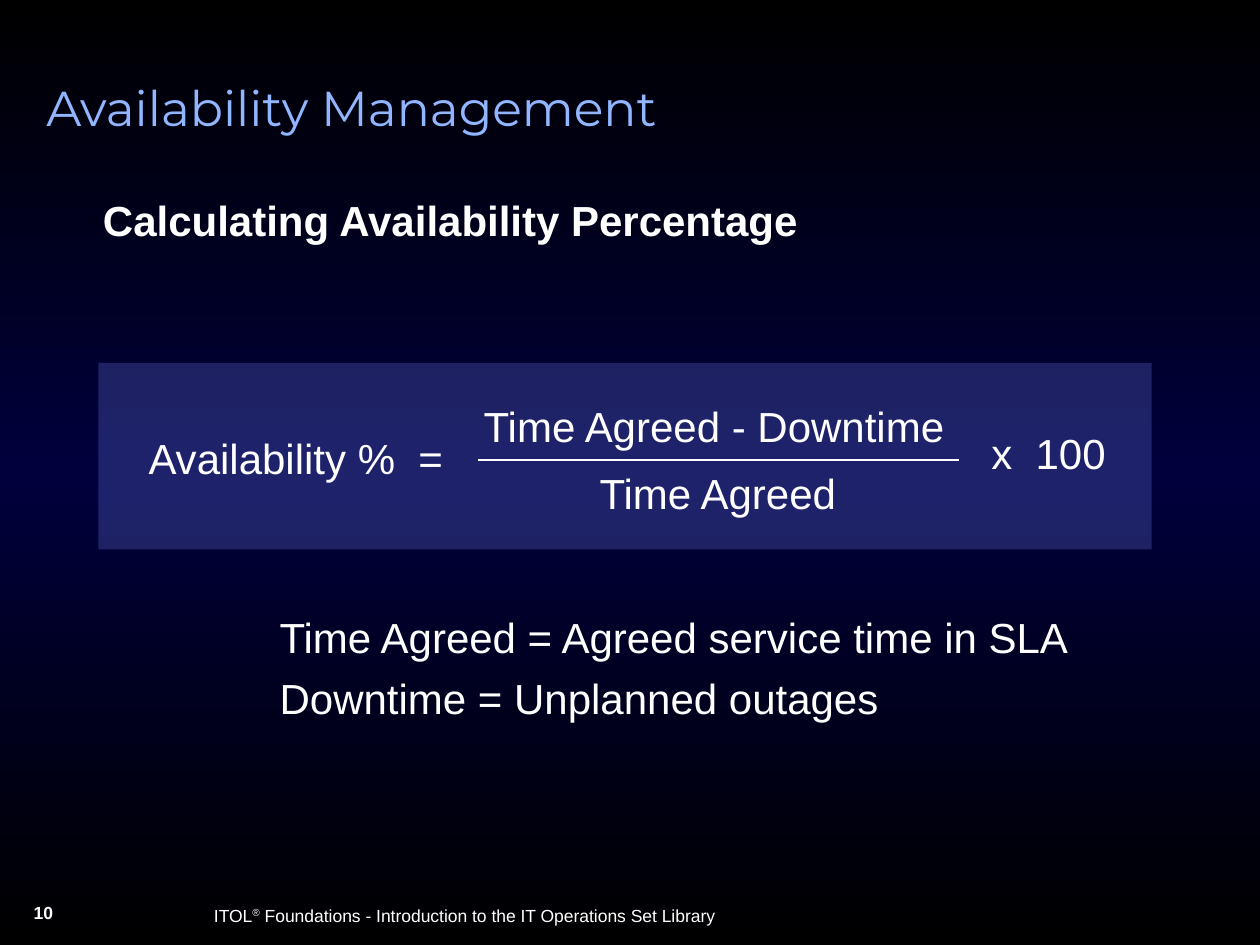
from lxml.etree import SubElement
from pptx import Presentation
from pptx.dml.color import RGBColor
from pptx.enum.shapes import MSO_CONNECTOR, MSO_SHAPE
from pptx.oxml import parse_xml
from pptx.oxml.ns import qn
from pptx.util import Pt

WHITE, TITLE_BLUE, PANEL_BLUE = "FFFFFF", "91B6FF", "7889FB"
BACKGROUND = [(0, "000000"), (50, "00003C"), (100, "000000")]
PANEL = (56.2, 207.4, 601.9, 106.5)
FRACTION_BAR = (272.9, 262.8, 547.9, 262.8)

TITLE = ("Availability Management", (19.4, 44.6, 642.2, 96.5))
SUBTITLE = ("Calculating Availability Percentage", (51.8, 110.9, 578.9, 48.2))
FORMULA = [
    ("Availability %  =", (77.8, 243.4, 182.9, 36)),
    ("Time Agreed - Downtime", (269.3, 225.4, 279.4, 36)),
    ("Time Agreed", (335.5, 263.5, 151.9, 36)),
    ("x  100", (559.4, 240.5, 79.9, 36)),
]
DEFINITIONS = ["Time Agreed = Agreed service time in SLA", "Downtime = Unplanned outages"]
DEFINITIONS_AREA = (53.3, 349.2, 600.5, 93.6)
DEFINITIONS_INDENT = 99.4
FOOTER = ["ITOL", "®", " Foundations - Introduction to the IT Operations Set Library"]
FOOTER_AREA = (115.2, 513.4, 424.8, 19.4)
PAGE_NUMBER = ("10", (12.2, 511.9, 79.2, 25.2))


def color(value):
    return RGBColor.from_string(value)


def paint_background(page):
    fill = page.background.fill
    fill.gradient()
    fill.gradient_angle = 270
    stops = fill._fill._gradFill.find(qn("a:gsLst"))
    for stop in list(stops):
        stops.remove(stop)
    for position, value in BACKGROUND:
        stop = SubElement(stops, qn("a:gs"), pos=str(position * 1000))
        SubElement(stop, qn("a:srgbClr"), val=value)


def add_panel(page):
    panel = page.shapes.add_shape(MSO_SHAPE.RECTANGLE, *map(Pt, PANEL))
    panel.shadow.inherit = False
    panel.line.fill.background()
    panel.fill.solid()
    panel.fill.fore_color.rgb = color(PANEL_BLUE)
    tint = panel.fill._xPr.find(qn("a:solidFill"))[0]
    SubElement(tint, qn("a:alpha"), val="25000")


def add_fraction_bar(page):
    bar = page.shapes.add_connector(MSO_CONNECTOR.STRAIGHT, *map(Pt, FRACTION_BAR))
    bar.line.color.rgb = color(WHITE)
    bar.line.width = Pt(1.5)
    SubElement(bar._element.spPr, qn("a:effectLst"))


def add_text(page, paragraphs, area, size=24, font="Arial", ink=WHITE, bold=False,
             wrap=True, line_spacing=None, space_after=0, indent=0):
    box = page.shapes.add_textbox(*map(Pt, area))
    frame = box.text_frame
    frame.word_wrap = wrap
    for index, runs in enumerate(paragraphs):
        para = frame.add_paragraph() if index else frame.paragraphs[0]
        para.line_spacing = line_spacing
        para.space_after = Pt(space_after)
        if indent:
            para._p.get_or_add_pPr().set("marL", str(Pt(indent)))
        for text in runs:
            span = para.add_run()
            span.text = text
            span.font.size = Pt(size)
            span.font.name = font
            span.font.bold = bold
            span.font.color.rgb = color(ink)
            if text == "®":
                span._r.get_or_add_rPr().set("baseline", "30000")


def main():
    deck = Presentation()
    deck.slide_width, deck.slide_height = Pt(720), Pt(540)
    page = deck.slides.add_slide(deck.slide_layouts[6])
    paint_background(page)

    add_text(page, [FOOTER], FOOTER_AREA, size=10)
    number, area = PAGE_NUMBER
    add_text(page, [[number]], area, size=10, bold=True)
    add_panel(page)
    title, area = TITLE
    add_text(page, [[title]], area, size=28, font="Montserrat", ink=TITLE_BLUE, line_spacing=0.9)
    subtitle, area = SUBTITLE
    add_text(page, [[subtitle]], area, bold=True, line_spacing=0.9, space_after=9)
    add_fraction_bar(page)
    for term, area in FORMULA:
        add_text(page, [[term]], area, wrap=False)
    add_text(page, [[line] for line in DEFINITIONS], DEFINITIONS_AREA,
             line_spacing=0.9, space_after=9, indent=DEFINITIONS_INDENT)
    deck.save("out.pptx")


if __name__ == "__main__":
    main()
